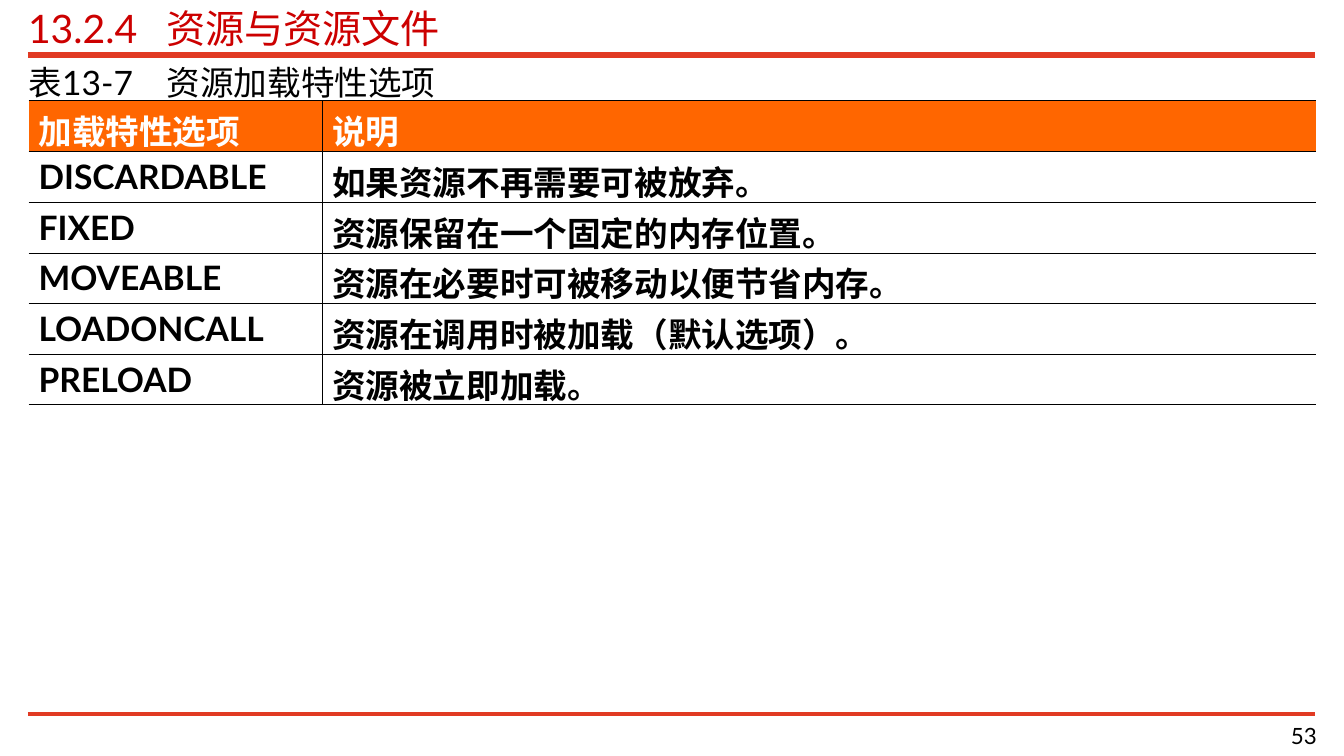
"""Build the slide on resource loading options."""
from dataclasses import dataclass

from lxml import etree
from pptx import Presentation
from pptx import util as u
from pptx.dml.color import RGBColor
from pptx.enum import shapes, text
from pptx.oxml import ns

COLORS = {"rule": "E13A23", "title": "CC0000", "header": "FF6600",
          "ink": "000000", "paper": "FFFFFF"}
FONT = "Lato"
LEFT, WIDTH = 20.4, 920.2
COLUMNS = (209.8, 710.4)
ROW_HEIGHT = 36.2
CELL_BOTTOM = -2.4
HEADING_TAB = 98.8


@dataclass
class Rule:
    y: float
    weight: float


@dataclass
class Label:
    content: str
    left: float
    top: float
    width: float
    height: float
    size: float
    color: str = "ink"
    align: text.PP_ALIGN = text.PP_ALIGN.LEFT


@dataclass
class Option:
    name: str
    meaning: str


RULES = [Rule(39.5, 4), Rule(509.8, 3)]
TITLE = Label("13.2.4\t资源与资源文件", 20, 2.9, WIDTH, 33.8, 28, "title")
LABELS = [
    Label("表13-7\t资源加载特性选项", LEFT, 43.9, WIDTH, 28.8, 24),
    Label("53", 748.1, 514.5, 193, 22.3, 16, align=text.PP_ALIGN.RIGHT),
]
OPTIONS = [
    Option("加载特性选项", "说明"),
    Option("DISCARDABLE", "如果资源不再需要可被放弃。"),
    Option("FIXED", "资源保留在一个固定的内存位置。"),
    Option("MOVEABLE", "资源在必要时可被移动以便节省内存。"),
    Option("LOADONCALL", "资源在调用时被加载（默认选项）。"),
    Option("PRELOAD", "资源被立即加载。"),
]


def rgb(name: str) -> RGBColor:
    """Return the named colour."""
    return RGBColor.from_string(COLORS[name])


def add_run(p, content: str, size: float, color: str, bold: bool = False) -> None:
    """Append a formatted run to a paragraph."""
    r = p.add_run()
    r.text = content
    r.font.name, r.font.size, r.font.bold = FONT, u.Pt(size), bold
    r.font.color.rgb = rgb(color)


def add_tab(p, position: float) -> None:
    """Set a left tab stop on a paragraph."""
    stops = etree.SubElement(p._p.get_or_add_pPr(), ns.qn("a:tabLst"))
    etree.SubElement(stops, ns.qn("a:tab"), pos=str(u.Pt(position)), algn="l")


def draw_rule(s, rule: Rule) -> None:
    """Draw a horizontal rule across the slide."""
    y = u.Pt(rule.y)
    line = s.shapes.add_connector(shapes.MSO_CONNECTOR.STRAIGHT,
                                  u.Pt(20), y, u.Pt(940), y)
    line.line.color.rgb = rgb("rule")
    line.line.width = u.Pt(rule.weight)
    etree.SubElement(line._element.spPr, ns.qn("a:effectLst"))


def fill_label(sp, label: Label) -> None:
    """Place a text shape and write its label."""
    sp.left, sp.top = u.Pt(label.left), u.Pt(label.top)
    sp.width, sp.height = u.Pt(label.width), u.Pt(label.height)
    tf = sp.text_frame
    tf.word_wrap, tf.auto_size = True, text.MSO_AUTO_SIZE.NONE
    tf.margin_left = tf.margin_right = tf.margin_top = tf.margin_bottom = 0
    tf.vertical_anchor = text.MSO_ANCHOR.MIDDLE
    p = tf.paragraphs[0]
    p.alignment = label.align
    if "\t" in label.content:
        add_tab(p, HEADING_TAB)
    add_run(p, label.content, label.size, label.color)


def set_borders(cell, widths: dict[str, float]) -> None:
    """Draw the given cell sides and leave the others clear."""
    tc_pr = cell._tc.get_or_add_tcPr()
    for i, side in enumerate(("L", "R", "T", "B")):
        ln = etree.Element(ns.qn(f"a:ln{side}"), w=str(u.Pt(widths.get(side, 0))))
        if side in widths:
            fill = etree.SubElement(ln, ns.qn("a:solidFill"))
            etree.SubElement(fill, ns.qn("a:srgbClr"), val=COLORS["ink"])
        else:
            etree.SubElement(ln, ns.qn("a:noFill"))
        tc_pr.insert(i, ln)


def draw_table(s, options: list[Option]) -> None:
    """Draw the table of loading options."""
    last = len(options)
    table = s.shapes.add_table(last, len(COLUMNS), u.Pt(LEFT), u.Pt(72), u.Pt(WIDTH),
                               u.Pt(ROW_HEIGHT * last)).table
    table.first_row = table.horz_banding = False
    for column, width in zip(table.columns, COLUMNS):
        column.width = u.Pt(width)
    edges = [0.62 if i in (0, 1, last) else 0.45 for i in range(last + 1)]
    for i, option in enumerate(options):
        table.rows[i].height = u.Pt(ROW_HEIGHT)
        for j, content in enumerate((option.name, option.meaning)):
            cell = table.cell(i, j)
            cell.margin_bottom = u.Pt(CELL_BOTTOM)
            if i == 0:
                cell.fill.solid()
                cell.fill.fore_color.rgb = rgb("header")
            else:
                cell.fill.background()
            set_borders(cell, {"T": edges[i], "B": edges[i + 1], "RL"[j]: 0.45})
            add_run(cell.text_frame.paragraphs[0], content, 24,
                    "ink" if i else "paper", True)


def main() -> None:
    """Build and save the slide."""
    prs = Presentation()
    prs.slide_width, prs.slide_height = u.Pt(960.5), u.Pt(540)
    s = prs.slides.add_slide(prs.slide_layouts[5])
    for rule in RULES:
        draw_rule(s, rule)
    fill_label(s.shapes.title, TITLE)
    for label in LABELS:
        fill_label(s.shapes.add_textbox(0, 0, 0, 0), label)
    draw_table(s, OPTIONS)
    prs.save("out.pptx")


if __name__ == "__main__":
    main()
